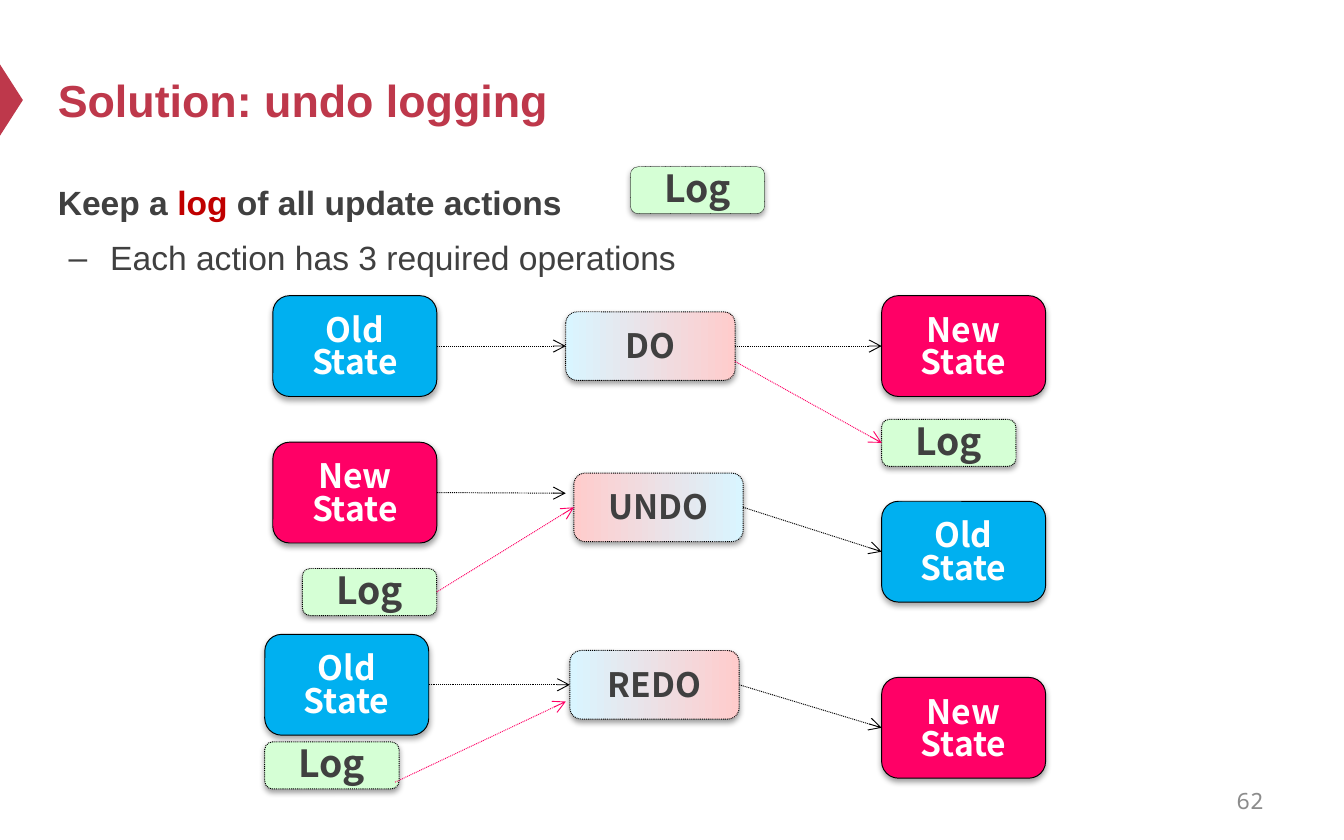
from dataclasses import dataclass
from typing import Any, Optional, Union

from lxml.etree import SubElement
from pptx import Presentation
from pptx.dml.color import RGBColor
from pptx.enum.dml import MSO_LINE
from pptx.enum.shapes import MSO_CONNECTOR, MSO_SHAPE
from pptx.enum.text import MSO_ANCHOR, PP_ALIGN
from pptx.oxml.ns import qn
from pptx.util import Pt

PX = 9144  # EMU per px, 100 px to the inch
RED, GREY, BLACK, PINK = "BE384B", "404040", "000000", "FF0066"
LEFT, RIGHT = 1, 3  # connection sites


@dataclass(frozen=True)
class Style:
    """Look shared by all boxes of one kind."""
    width: int
    height: int
    fills: tuple[str, ...]
    text_colour: str = GREY
    size: int = 18
    spacing: Optional[float] = 0.8
    inset_top: int = 4
    inset_bottom: int = 0
    dash: Optional[Any] = MSO_LINE.ROUND_DOT
    shadow_alpha: int = 38000
    shadow_distance: int = 20000


OLD = Style(122, 75, ("00B0F0",), "FFFFFF", dash=None, shadow_alpha=35000, shadow_distance=23000)
NEW = Style(122, 75, (PINK,), "FFFFFF", dash=None)
FORWARD = Style(126, 51, ("D9F5FF", "FFCCCC"))
BACKWARD = Style(126, 51, ("FFCCCC", "D9F5FF"))
LOG = Style(100, 35, ("D5FFD5",), size=20, spacing=None, inset_top=0, inset_bottom=4)


@dataclass(frozen=True)
class Box:
    key: str
    lines: tuple[str, ...]
    style: Style
    left: int
    top: int
    border: float = 0.5


@dataclass(frozen=True)
class Arrow:
    """Runs from a box's right side or a point to a box's left side or a point."""
    start: Union[str, tuple[int, int]]
    end: Union[str, tuple[int, int]]
    colour: str = BLACK


OLD_STATE, NEW_STATE = ("Old", "State"), ("New", "State")
BOXES = [
    Box("do", ("DO",), FORWARD, 421, 232),
    Box("do new", NEW_STATE, NEW, 656, 220),
    Box("do old", OLD_STATE, OLD, 203, 220),
    Box("do log", ("Log",), LOG, 656, 312),
    Box("redo", ("REDO",), FORWARD, 424, 484),
    Box("redo new", NEW_STATE, NEW, 656, 504),
    Box("redo old", OLD_STATE, OLD, 197, 472),
    Box("redo log", ("Log",), LOG, 197, 552),
    Box("undo", ("UNDO",), BACKWARD, 427, 352),
    Box("undo old", OLD_STATE, OLD, 656, 373),
    Box("undo new", NEW_STATE, NEW, 203, 329),
    Box("undo log", ("Log",), LOG, 225, 423),
    Box("heading log", ("Log",), LOG, 469, 124, border=0.25),
]
ARROWS = [
    Arrow("do old", "do"),
    Arrow("do", "do new"),
    Arrow((547, 269), "do log", PINK),
    Arrow("redo old", "redo"),
    Arrow("redo", "redo new"),
    Arrow((294, 582), (421, 522), PINK),
    Arrow("undo new", (421, 367)),
    Arrow("undo", "undo old"),
    Arrow("undo log", "undo", PINK),
]


def rgb(colour: str) -> RGBColor:
    return RGBColor.from_string(colour)


def apply(target: Any, values: dict[str, Any]) -> None:
    for name, value in values.items():
        setattr(target, name, value)


def place(shape: Any, left: int, top: int, width: int, height: int) -> None:
    apply(shape, dict(left=left * PX, top=top * PX, width=width * PX, height=height * PX))


def add_run(paragraph: Any, text: str, size: int, colour: str,
            bold: bool = True, font: str = "Arial") -> None:
    run = paragraph.add_run()
    run.text = text
    apply(run.font, dict(size=Pt(size), bold=bold, name=font))
    run.font.color.rgb = rgb(colour)


def draw_box(slide: Any, box: Box) -> Any:
    style = box.style
    shape = slide.shapes.add_shape(MSO_SHAPE.ROUNDED_RECTANGLE, 0, 0, 0, 0)
    place(shape, box.left, box.top, style.width, style.height)

    # Fill and border
    if len(style.fills) == 1:
        shape.fill.solid()
        shape.fill.fore_color.rgb = rgb(style.fills[0])
    else:
        shape.fill.gradient()
        shape.fill.gradient_angle = 0
        for position, (stop, colour) in enumerate(zip(shape.fill.gradient_stops, style.fills)):
            stop.color.rgb = rgb(colour)
            stop.position = position
    shape.line.color.rgb = rgb(BLACK)
    apply(shape.line, dict(width=Pt(box.border), dash_style=style.dash))

    # Soft shadow below the box
    shape.shadow.inherit = False
    effects = shape.element.spPr.find(qn("a:effectLst"))
    shadow = SubElement(effects, qn("a:outerShdw"), blurRad="40000",
                        dist=str(style.shadow_distance), dir="5400000", rotWithShape="0")
    shade = SubElement(shadow, qn("a:srgbClr"), val=BLACK)
    SubElement(shade, qn("a:alpha"), val=str(style.shadow_alpha))

    # Label
    frame = shape.text_frame
    apply(frame, dict(margin_left=0, margin_right=0, margin_top=style.inset_top * PX,
                      margin_bottom=style.inset_bottom * PX, word_wrap=False,
                      vertical_anchor=MSO_ANCHOR.MIDDLE))
    for index, line in enumerate(box.lines):
        paragraph = frame.add_paragraph() if index else frame.paragraphs[0]
        apply(paragraph, dict(alignment=PP_ALIGN.CENTER, line_spacing=style.spacing))
        add_run(paragraph, line, style.size, style.text_colour, font="Noto Sans CJK SC")
    return shape


def draw_arrow(slide: Any, arrow: Arrow, shapes: dict[str, Any]) -> None:
    start_joined, end_joined = isinstance(arrow.start, str), isinstance(arrow.end, str)
    begin = (0, 0) if start_joined else arrow.start
    end = (0, 0) if end_joined else arrow.end
    connector = slide.shapes.add_connector(
        MSO_CONNECTOR.STRAIGHT, *(value * PX for value in begin + end))
    if start_joined:
        connector.begin_connect(shapes[arrow.start], RIGHT)
    if end_joined:
        connector.end_connect(shapes[arrow.end], LEFT)
    connector.line.color.rgb = rgb(arrow.colour)
    apply(connector.line, dict(width=Pt(0.5), dash_style=MSO_LINE.ROUND_DOT))
    properties = connector.element.spPr
    SubElement(properties.find(qn("a:ln")), qn("a:tailEnd"), type="arrow")
    SubElement(properties, qn("a:effectLst"))


def draw_text(slide: Any) -> None:
    # Title with its marker at the slide edge
    marker = slide.shapes.add_shape(MSO_SHAPE.ISOSCELES_TRIANGLE, 0, 0, 0, 0)
    place(marker, -18, 66, 53, 17)
    marker.rotation = 90
    marker.fill.solid()
    marker.fill.fore_color.rgb = rgb(RED)
    marker.line.fill.background()
    marker.shadow.inherit = False

    title = slide.shapes.title
    place(title, 33, 25, 900, 98)
    title.text_frame.vertical_anchor = MSO_ANCHOR.MIDDLE
    heading = title.text_frame.paragraphs[0]
    heading.alignment = PP_ALIGN.LEFT
    add_run(heading, "Solution: undo logging", 24, RED)

    # Body: a plain lead line and one dashed item
    body = slide.placeholders[1]
    place(body, 33, 124, 900, 412)
    lead = body.text_frame.paragraphs[0]
    item = body.text_frame.add_paragraph()
    item.level = 1
    for paragraph, margin, indent, bullet in ((lead, 0, 0, None), (item, 39, -31, "–")):
        properties = paragraph._p.get_or_add_pPr()
        apply(paragraph, dict(line_spacing=1.2, space_before=Pt(4 if bullet else 0)))
        properties.set("marL", str(margin * PX))
        properties.set("indent", str(indent * PX))
        if bullet:
            SubElement(properties, qn("a:buChar"), char=bullet)
        else:
            SubElement(properties, qn("a:buNone"))
    for text, colour in (("Keep a ", GREY), ("log", "C00000"), (" of all update actions", GREY)):
        add_run(lead, text, 18, colour)
    add_run(item, "Each action has 3 required operations", 18, GREY, bold=False)

    # Page number
    page = slide.shapes.add_textbox(717 * PX, 579 * PX, 233 * PX, 33 * PX)
    apply(page.text_frame, dict(word_wrap=True, vertical_anchor=MSO_ANCHOR.MIDDLE))
    number = page.text_frame.paragraphs[0]
    number.alignment = PP_ALIGN.RIGHT
    add_run(number, "62", 12, "8C8C8C", bold=False, font="Noto Sans Mono")


def main() -> None:
    deck = Presentation()
    apply(deck, dict(slide_width=1000 * PX, slide_height=625 * PX))
    slide = deck.slides.add_slide(deck.slide_layouts[1])
    draw_text(slide)
    shapes = {box.key: draw_box(slide, box) for box in BOXES}
    for arrow in ARROWS:
        draw_arrow(slide, arrow, shapes)
    deck.save("out.pptx")


if __name__ == "__main__":
    main()
